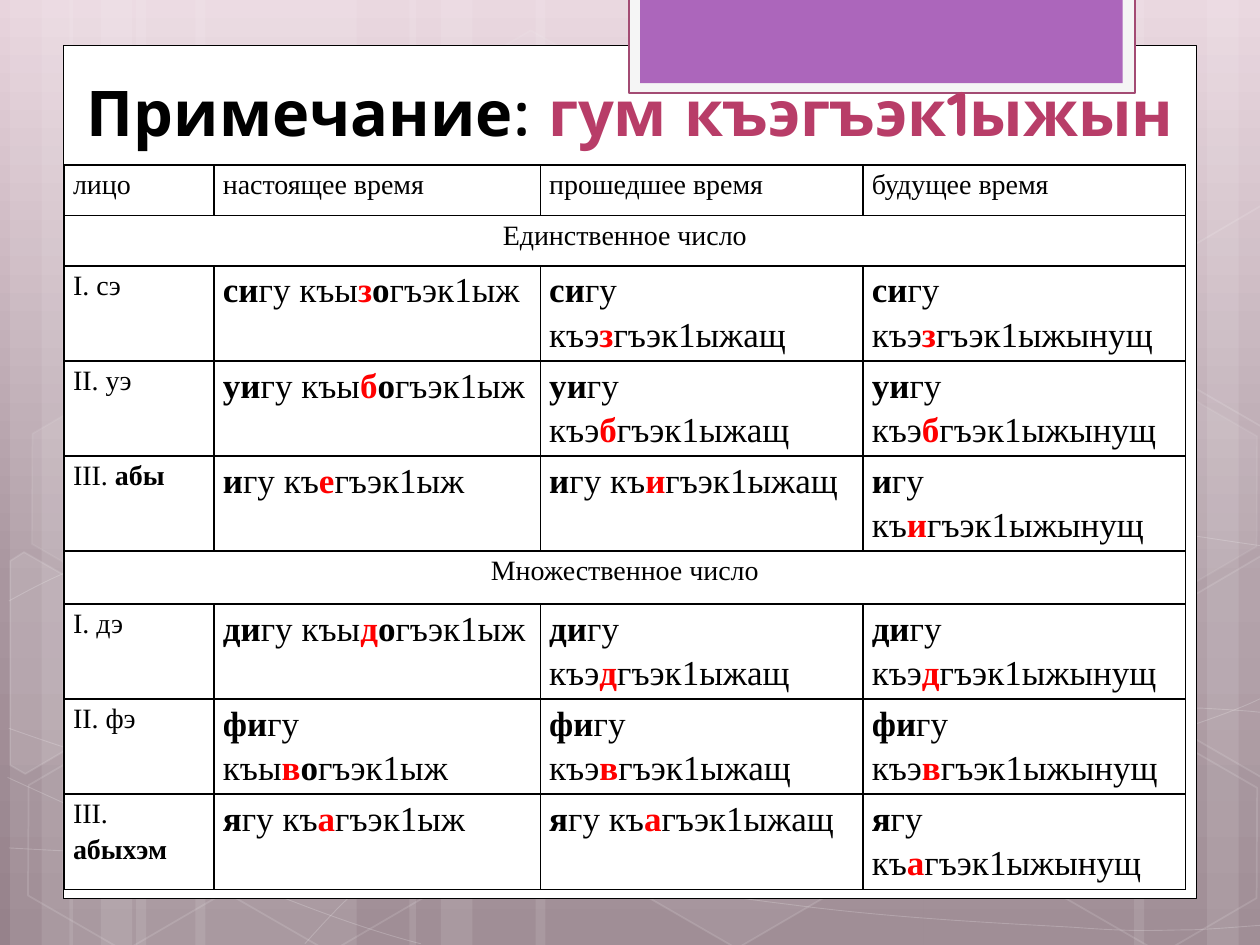
from copy import deepcopy
from math import cos, radians, sin
from typing import NamedTuple

from lxml.etree import SubElement
from pptx import Presentation
from pptx.dml.color import RGBColor
from pptx.enum.shapes import MSO_SHAPE
from pptx.enum.text import MSO_ANCHOR, MSO_AUTO_SIZE, PP_ALIGN
from pptx.oxml.ns import qn
from pptx.util import Inches, Pt

WHITE, BLACK, RED = RGBColor(255, 255, 255), RGBColor(0, 0, 0), RGBColor(255, 0, 0)
ROSE, PLUM = RGBColor(0xB8, 0x3D, 0x68), RGBColor(0xA3, 0x4B, 0x73)
PALE, PURPLE = RGBColor(0xF5, 0xF5, 0xF5), RGBColor(0xAC, 0x66, 0xBB)
GRADIENT = [(0, RGBColor(0xE8, 0xD4, 0xDD)), (0.62, RGBColor(0xA9, 0x96, 0x9F)),
            (1, RGBColor(0x96, 0x82, 0x8B))]
TILT = 30


class Run(NamedTuple):
    text: str
    bold: bool = False
    color: RGBColor = BLACK


class Person(NamedTuple):
    label: list  # paragraphs, each a list of runs
    prefix: str
    present: tuple  # stem, marker letter, bold vowel
    other: tuple  # stem and marker letter of past and future


class Hexagon(NamedTuple):
    left: float
    top: float
    fill_alpha: int
    line_alpha: int


class CutHexagon(NamedTuple):
    center: tuple
    points: list
    fill_alpha: int


BANDS = [(1.08, 1.75, 0), (0.08, 0.5, 0), (0.33, 0.83, 0), (1.55, 1.75, 0), (0.55, 0.5, 0), (0.8, 0.83, 0),
         (7.33, 1.75, 180), (9.58, 0.5, 180), (9, 0.83, 180), (4.25, 3.08, 0), (3.25, 0.5, 0), (3.5, 0.83, 0)]
# A curve is a start point and segments: three points for a Bezier, one for a line.
CURVES = [
    [(0.07, 6.73), [(0.61, 6.76), (1.15, 6.79), (1.9, 6.78)], [(2.65, 6.77), (3.58, 6.75), (4.58, 6.65)],
     [(5.58, 6.55), (7, 6.36), (7.92, 6.17)], [(8.83, 5.98), (9.77, 5.68), (10.07, 5.51)]],
    [(0.07, 4.77), [(0.36, 4.61), (0.65, 4.46), (1.21, 4.31)], [(1.78, 4.16), (2.59, 3.94), (3.47, 3.87)],
     [(4.36, 3.8), (5.44, 3.79), (6.54, 3.87)], [(7.64, 3.95), (9.47, 4.26), (10.07, 4.34)]],
    [(0.06, 6.17), [(1.27, 6.72), (2.47, 7.27), (3.34, 7.49)]],
    [(0.07, 5.78), [(0.38, 5.89), (0.7, 6), (1.28, 6.16)], [(1.86, 6.31), (2.73, 6.56), (3.57, 6.73)],
     [(4.4, 6.9), (5.45, 7.08), (6.28, 7.18)], [(7.11, 7.29), (8, 7.33), (8.53, 7.36)],
     [(9.05, 7.4), (9.19, 7.38), (9.45, 7.38)], [(9.71, 7.37), (9.89, 7.35), (10.07, 7.34)]],
    [(2.42, 7.49), [(2.6, 7.29), (2.78, 7.09), (3.02, 6.91)], [(3.26, 6.73), (3.6, 6.53), (3.88, 6.39)],
     [(4.16, 6.25), (4.33, 6.19), (4.7, 6.09)], [(5.06, 5.99), (5.73, 5.85), (6.08, 5.78)],
     [(6.44, 5.71), (6.49, 5.71), (6.8, 5.69)], [(7.11, 5.66), (7.6, 5.63), (7.94, 5.62)],
     [(8.29, 5.61), (8.86, 5.62), (8.86, 5.62)], [(9.53, 5.62)],
     [(9.71, 5.63), (9.88, 5.64), (9.97, 5.65)], [(10.06, 5.66), (10.03, 5.65), (10.06, 5.66)]],
]
HEXAGONS = [Hexagon(3.34, 0.36, 4, 8), Hexagon(4.97, 5.89, 6, 12), Hexagon(0.11, 5.91, 0, 12),
            Hexagon(0.14, 3.12, 7, 8), Hexagon(1.74, 5.92, 0, 12), Hexagon(7.53, 4.53, 10, 12),
            Hexagon(8.34, 5.93, 0, 12), Hexagon(8.34, 3.14, 7, 8)]
CUT_HEXAGONS = [
    CutHexagon((0.36, 5.35), [(0.08, 4.45), (0.19, 4.38), (0.96, 4.82), (0.95, 5.7), (0.2, 6.14), (0.08, 6.07)], 10),
    CutHexagon((9.85, 5.2), [(9.26, 4.85), (10.01, 4.41), (10.09, 4.46), (10.09, 6.13), (10.02, 6.17), (9.26, 5.73)], 4),
    CutHexagon((9.85, 2.41), [(9.26, 2.07), (10.01, 1.63), (10.1, 1.68), (10.09, 3.35), (10.02, 3.39), (9.26, 2.95)], 0),
]

HEADERS = ["лицо", "настоящее время", "прошедшее время", "будущее время"]
SINGULAR = [Person([[Run("I. сэ")]], "си", ("къы", "з", "о"), ("къэ", "з")),
            Person([[Run("II. уэ")]], "уи", ("къы", "б", "о"), ("къэ", "б")),
            Person([[Run("III. "), Run("абы", True)]], "и", ("къ", "е", ""), ("къ", "и"))]
PLURAL = [Person([[Run("I. дэ")]], "ди", ("къы", "д", "о"), ("къэ", "д")),
          Person([[Run("II. фэ")]], "фи", ("къы", "в", "о"), ("къэ", "в")),
          Person([[Run("III. ")], [Run("абыхэм", True)]], "я", ("къ", "а", ""), ("къ", "а"))]
COLUMN_WIDTHS = [1.19, 2.59, 2.56, 2.56]
TABLE_HEIGHT, HEADER_HEIGHT, PLURAL_HEIGHT = 5.75, 0.4, 0.42
PERSON_HEIGHT = (TABLE_HEIGHT - 2 * HEADER_HEIGHT - PLURAL_HEIGHT) / 6
ROW_HEIGHTS = [HEADER_HEIGHT] * 2 + [PERSON_HEIGHT] * 3 + [PLURAL_HEIGHT] + [PERSON_HEIGHT] * 3


def paint(fill, color: RGBColor, alpha: int = 100) -> None:
    """Make a fill solid; alpha is opacity in percent, 0 meaning no fill."""
    if not alpha:
        fill.background()
        return
    fill.solid()
    fill.fore_color.rgb = color
    if alpha < 100:
        color_element = fill._xPr.find(f"{qn('a:solidFill')}/{qn('a:srgbClr')}")
        SubElement(color_element, qn("a:alpha"), val=str(alpha * 1000))


def style(shape, fill=WHITE, fill_alpha=100, line=WHITE, line_alpha=100, line_width=0.0) -> None:
    shape.shadow.inherit = False
    paint(shape.fill, fill, fill_alpha)
    if line_width:
        shape.line.width = Pt(line_width)
    paint(shape.line.fill, line, line_alpha if line_width else 0)


def add_preset(shapes, kind, left: float, top: float, width: float, height: float, **look):
    shape = shapes.add_shape(kind, Inches(left), Inches(top), Inches(width), Inches(height))
    style(shape, **look)
    return shape


def add_outline(shapes, points: list, closed: bool, **look):
    (start_x, start_y), *rest = [(Inches(x), Inches(y)) for x, y in points]
    builder = shapes.build_freeform(start_x, start_y)
    builder.add_line_segments(rest, close=closed)
    shape = builder.convert_to_shape()
    style(shape, **look)
    return shape


def add_curve(shapes, start: tuple, *segments: list) -> None:
    """Draw the nodes as an outline, then join each group of three into a Bezier."""
    nodes = [start, *(point for segment in segments for point in segment)]
    shape = add_outline(shapes, nodes, False, fill_alpha=0, line_alpha=20, line_width=0.5)
    outline = shape._element.find(f".//{qn('a:path')}")
    lines = iter(outline.findall(qn("a:lnTo")))
    for segment in segments:
        group = [next(lines) for _ in segment]
        if len(group) == 3:
            bezier = SubElement(outline, qn("a:cubicBezTo"))
            outline.replace(group[0], bezier)
            for line in group:
                bezier.append(line[0])
            for line in group[1:]:
                outline.remove(line)


def untilt(point: tuple, center: tuple) -> tuple:
    x, y = point[0] - center[0], point[1] - center[1]
    c, s = cos(radians(TILT)), sin(radians(TILT))
    return center[0] + x * c + y * s, center[1] - x * s + y * c


def write_text(text_frame, paragraphs: list, *, size: int, font: str = "Times New Roman",
               align=PP_ALIGN.JUSTIFY, spacing: float = 1.15) -> None:
    for index, runs in enumerate(paragraphs):
        paragraph = text_frame.add_paragraph() if index else text_frame.paragraphs[0]
        paragraph.alignment, paragraph.line_spacing = align, spacing
        for item in runs:
            run = paragraph.add_run()
            run.text = item.text
            run.font.name, run.font.size = font, Pt(size)
            run.font.bold, run.font.color.rgb = item.bold, item.color


def verb_form(prefix: str, stem: str, marker: str, vowel: str, ending: str) -> list:
    runs = [Run(prefix, True), Run(f"гу {stem}"), Run(marker, True, RED), Run(vowel, True), Run(f"гъэк1ыж{ending}")]
    return [[run for run in runs if run.text]]


def format_cell(cell) -> None:
    cell.margin_left = cell.margin_right = Inches(0.07)
    cell.margin_top = cell.margin_bottom = 0
    for side in ("a:lnL", "a:lnR", "a:lnT", "a:lnB"):
        line = SubElement(cell._tc.get_or_add_tcPr(), qn(side), w=str(Pt(1)))
        SubElement(SubElement(line, qn("a:solidFill")), qn("a:srgbClr"), val=str(BLACK))
    cell.fill.background()


def add_background(slide) -> None:
    fill, shapes = slide.background.fill, slide.shapes
    fill.gradient()
    fill.gradient_angle = 270
    stop_list = slide.element.find(f".//{qn('a:gsLst')}")
    stop_list.append(deepcopy(stop_list[-1]))
    for stop, (position, color) in zip(fill.gradient_stops, GRADIENT):
        stop.position, stop.color.rgb = position, color
    for left, width, rotation in BANDS:
        add_preset(shapes, MSO_SHAPE.RECTANGLE, left, 0, width, 7.5, fill_alpha=10).rotation = rotation
    for curve in CURVES:
        add_curve(shapes, *curve)
    for item in HEXAGONS:
        hexagon = add_preset(shapes, MSO_SHAPE.HEXAGON, item.left, item.top, 1.75, 1.52,
                             fill_alpha=item.fill_alpha, line_alpha=item.line_alpha, line_width=1)
        hexagon.adjustments[0], hexagon.rotation = 0.285, TILT
    for item in CUT_HEXAGONS:
        points = [untilt(point, item.center) for point in item.points]
        add_outline(shapes, points, True, fill_alpha=item.fill_alpha, line_alpha=12, line_width=1).rotation = TILT
    add_preset(shapes, MSO_SHAPE.RECTANGLE, 0.5, 0.36, 9, 6.77, line=BLACK, line_width=0.5)
    add_preset(shapes, MSO_SHAPE.RECTANGLE, 4.99, -0.02, 4.02, 0.76, fill=PALE, line=PLUM, line_width=1.25)
    add_preset(shapes, MSO_SHAPE.RECTANGLE, 5.08, -0.02, 3.83, 0.68, fill=PURPLE)


def add_title(slide) -> None:
    title = slide.shapes.title
    slide.shapes._spTree.append(title._element)  # bring in front of the frame
    title.left, title.top, title.width, title.height = map(Inches, (0.59, 0.21, 8.9, 1.02))
    frame = title.text_frame
    frame.word_wrap, frame.auto_size, frame.vertical_anchor = True, MSO_AUTO_SIZE.NONE, MSO_ANCHOR.BOTTOM
    write_text(frame, [[Run("Примечание: ", True), Run("гум къэгъэк1ыжын", True, ROSE)]],
               size=36, font="Quicksand", align=PP_ALIGN.LEFT, spacing=1.0)


def add_verb_table(slide) -> None:
    table = slide.shapes.add_table(len(ROW_HEIGHTS), len(COLUMN_WIDTHS), Inches(0.51), Inches(1.31),
                                   Inches(sum(COLUMN_WIDTHS)), Inches(TABLE_HEIGHT)).table
    table.first_row = table.horz_banding = False
    for column, width in zip(table.columns, COLUMN_WIDTHS):
        column.width = Inches(width)
    for row, height in zip(table.rows, ROW_HEIGHTS):
        row.height = Inches(height)
    for cell in table.iter_cells():
        format_cell(cell)
    for column, header in enumerate(HEADERS):
        write_text(table.cell(0, column).text_frame, [[Run(header)]], size=16)
    for top, name, persons in ((1, "Единственное число", SINGULAR), (5, "Множественное число", PLURAL)):
        table.cell(top, 0).merge(table.cell(top, 3))
        write_text(table.cell(top, 0).text_frame, [[Run(name)]], size=16, align=PP_ALIGN.CENTER)
        for row, person in enumerate(persons, top + 1):
            write_text(table.cell(row, 0).text_frame, person.label, size=16)
            forms = [(*person.present, ""), (*person.other, "", "ащ"), (*person.other, "", "ынущ")]
            for column, form in enumerate(forms, 1):
                write_text(table.cell(row, column).text_frame, verb_form(person.prefix, *form), size=20)


def main() -> None:
    presentation = Presentation()
    presentation.slide_width, presentation.slide_height = Inches(10), Inches(7.5)
    slide = presentation.slides.add_slide(presentation.slide_layouts[5])
    add_background(slide)
    add_title(slide)
    add_verb_table(slide)
    presentation.save("out.pptx")


if __name__ == "__main__":
    main()
